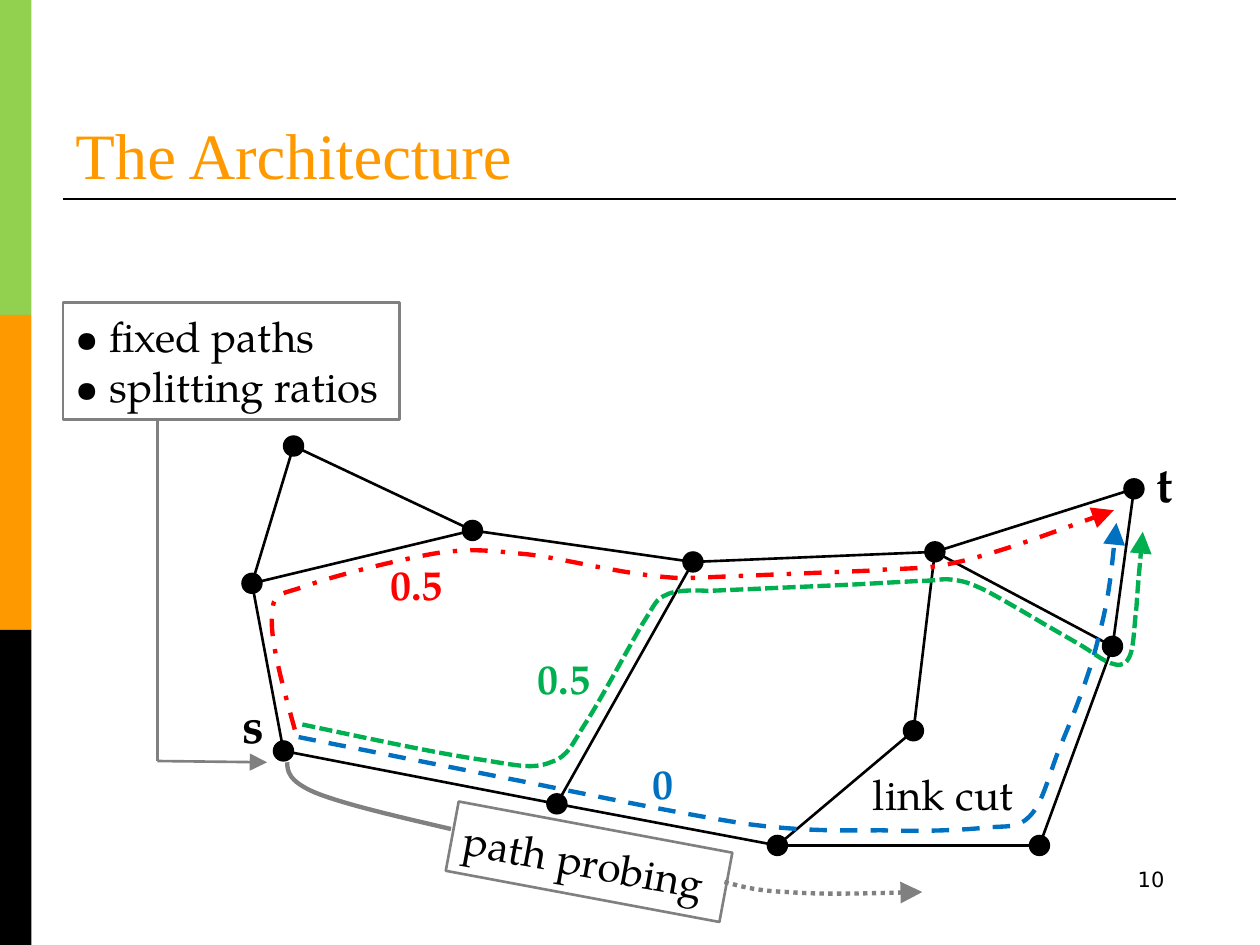
from lxml import etree
from pptx import Presentation
from pptx.dml.color import RGBColor
from pptx.enum.dml import MSO_LINE
from pptx.enum.shapes import MSO_CONNECTOR, MSO_SHAPE
from pptx.enum.text import MSO_ANCHOR, PP_ALIGN
from pptx.oxml.ns import qn
from pptx.util import Inches, Pt

RECT, OVAL = MSO_SHAPE.RECTANGLE, MSO_SHAPE.OVAL
STRAIGHT = MSO_CONNECTOR.STRAIGHT
TOP, MID, LOW = MSO_ANCHOR.TOP, MSO_ANCHOR.MIDDLE, MSO_ANCHOR.BOTTOM
LEFT, RIGHT = PP_ALIGN.LEFT, PP_ALIGN.RIGHT
SERIF, SANS, TIMES = "TeX Gyre Pagella", "DejaVu Sans", "Times New Roman"

COLORS = {"black": "000000", "gray": "808080", "lime": "92D050",
          "orange": "FF9900", "red": "FF0000", "blue": "0070C0",
          "green": "00B050"}

# Content: side bars from top to bottom
BARS = ["lime", "orange", "black"]

# Network nodes by centre, and the links between them
NODES = {"s": (2.25, 5.96), "t": (9, 3.88), "west": (2, 4.63),
         "peak": (2.33, 3.54), "north": (3.75, 4.21), "mid": (5.5, 4.46),
         "hub": (7.42, 4.38), "east": (8.83, 5.13), "inner": (7.25, 5.8),
         "low": (4.42, 6.38), "south": (6.17, 6.71), "corner": (8.25, 6.71)}
LINKS = [("s", "west"), ("west", "peak"), ("west", "north"),
         ("peak", "north"), ("north", "mid"), ("mid", "hub"), ("hub", "t"),
         ("hub", "east"), ("east", "t"), ("east", "corner"),
         ("corner", "south"), ("south", "low"), ("low", "s"), ("mid", "low"),
         ("hub", "inner"), ("inner", "south")]

# Routes: color, dash, arrow, start, then lines (2 numbers) or curves (6)
ROUTES = [
    ("red", MSO_LINE.DASH_DOT, True, (2.34, 5.79), [
        (2.24, 5.43, 2.14, 5.07, 2.16, 4.88),
        (2.17, 4.69, 2.21, 4.73, 2.43, 4.65),
        (2.65, 4.57, 3.17, 4.44, 3.47, 4.39),
        (3.76, 4.35, 3.87, 4.37, 4.19, 4.4),
        (4.52, 4.44, 4.97, 4.57, 5.42, 4.59), (6.89, 4.53),
        (7.26, 4.5, 7.32, 4.53, 7.65, 4.45),
        (7.97, 4.37, 8.4, 4.21, 8.84, 4.05)]),
    ("blue", MSO_LINE.DASH, True, (2.37, 5.85), [
        (4.24, 6.22), (4.83, 6.34, 5.47, 6.47, 5.93, 6.54),
        (6.39, 6.6, 6.68, 6.59, 7, 6.59),
        (7.31, 6.6, 7.61, 6.59, 7.81, 6.57),
        (8, 6.55, 8.07, 6.58, 8.17, 6.48),
        (8.27, 6.38, 8.31, 6.2, 8.4, 5.96),
        (8.5, 5.72, 8.65, 5.36, 8.72, 5.05),
        (8.8, 4.75, 8.83, 4.45, 8.86, 4.15)]),
    ("green", MSO_LINE.SQUARE_DOT, True, (2.4, 5.75), [
        (2.92, 5.86, 3.43, 5.97, 3.76, 6.02),
        (4.09, 6.07, 4.22, 6.11, 4.37, 6.05),
        (4.52, 6, 4.54, 5.9, 4.66, 5.72),
        (4.78, 5.53, 5, 5.12, 5.1, 4.95),
        (5.21, 4.78, 5.2, 4.76, 5.29, 4.72),
        (5.38, 4.67, 5.62, 4.69, 5.62, 4.69), (6.76, 4.64), (7.31, 4.61),
        (7.44, 4.61, 7.47, 4.59, 7.55, 4.6),
        (7.64, 4.61, 7.68, 4.62, 7.81, 4.68),
        (7.93, 4.74, 8.3, 4.96, 8.3, 4.96), (8.56, 5.11),
        (8.65, 5.16, 8.77, 5.26, 8.84, 5.27),
        (8.9, 5.29, 8.94, 5.27, 8.97, 5.2),
        (9, 5.12, 9, 4.98, 9.02, 4.82),
        (9.03, 4.66, 9.05, 4.44, 9.07, 4.22)]),
    ("gray", None, False, (2.28, 6.05), [
        (2.28, 6.12, 2.29, 6.2, 2.5, 6.29),
        (2.72, 6.38, 3.15, 6.48, 3.58, 6.58)]),
    ("gray", MSO_LINE.ROUND_DOT, True, (5.75, 7), [
        (5.87, 7.03, 5.98, 7.07, 6.25, 7.08),
        (6.51, 7.1, 6.91, 7.09, 7.32, 7.08)]),
]

# Labels: text, box, size, font, color, bold, anchor, alignment
LABELS = [
    ("The Architecture", (0.5, 0.25, 8.75, 1.33), 37, TIMES, "orange", False, LOW, LEFT),
    ("t", (9.08, 3.55, 0.33, 0.57), 28, SERIF, "black", True, TOP, LEFT),
    ("s", (1.83, 5.46, 0.33, 0.57), 28, SERIF, "black", True, TOP, LEFT),
    ("link cut", (6.83, 6.05, 1.33, 0.5), 24, SERIF, "black", False, TOP, LEFT),
    ("0.5", (3, 4.38, 0.83, 0.5), 24, SERIF, "red", True, TOP, LEFT),
    ("0.5", (4.17, 5.13, 0.92, 0.5), 24, SERIF, "green", True, TOP, LEFT),
    ("0", (5.08, 5.96, 0.83, 0.5), 24, SERIF, "blue", True, TOP, LEFT),
    ("10", (7.17, 6.83, 2.17, 0.52), 12, SANS, "black", False, TOP, RIGHT),
]

# Framed notes: lines, box, rotation
NOTES = [(["path probing"], (3.57, 6.56, 2.21, 0.56), 10.6),
         (["• fixed paths", "• splitting ratios"], (0.5, 2.4, 2.67, 0.93), 0)]

prs = Presentation()
prs.slide_width, prs.slide_height = Inches(10), Inches(7.5)
shapes = prs.slides.add_slide(prs.slide_layouts[6]).shapes


def rgb(name):
    return RGBColor.from_string(COLORS[name])


def stroke(item, color, width, arrow=False):
    item.line.color.rgb = rgb(color)
    item.line.width = Pt(width)
    if arrow:
        etree.SubElement(item.line._get_or_add_ln(), qn("a:tailEnd"),
                         type="triangle", w="lg", len="lg")


def link(start, end, color="black", arrow=False):
    line = shapes.add_connector(STRAIGHT, *map(Inches, start + end))
    stroke(line, color, 1.5, arrow)
    etree.SubElement(line._element.spPr, qn("a:effectLst"))


def solid(kind, box, color):
    part = shapes.add_shape(kind, *map(Inches, box))
    part.shadow.inherit = False
    part.fill.solid()
    part.fill.fore_color.rgb = rgb(color)
    part.line.fill.background()


def write(frame, lines, size, font, color, bold, anchor, align):
    frame.word_wrap = True
    frame.vertical_anchor = anchor
    for i, text in enumerate(lines):
        para = frame.add_paragraph() if i else frame.paragraphs[0]
        para.text = text
        para.alignment = align
        para.font.size, para.font.name, para.font.bold = Pt(size), font, bold
        para.font.color.rgb = rgb(color)


def trace(start, parts):
    """Draw through all points, then join each three of a curve."""
    dots = [part[i:i + 2] for part in parts for i in range(0, len(part), 2)]
    pen = shapes.build_freeform(*map(Inches, start))
    pen.add_line_segments([tuple(map(Inches, dot)) for dot in dots], close=False)
    shape = pen.convert_to_shape()
    steps = iter(list(shape._element.iter(qn("a:lnTo"))))
    for part in parts:
        step = next(steps)
        if len(part) == 6:
            step.tag = qn("a:cubicBezTo")
            for extra in (next(steps), next(steps)):
                step.append(extra[0])
                extra.getparent().remove(extra)
    return shape


# Side bars and title rule
for i, color in enumerate(BARS):
    solid(RECT, (0, 2.5 * i, 0.25, 2.5), color)
link((0.5, 1.58), (9.33, 1.58))

# Network
for a, b in LINKS:
    link(NODES[a], NODES[b])
for x, y in NODES.values():
    solid(OVAL, (x - 0.085, y - 0.085, 0.17, 0.17), "black")

# Framed notes and the elbow from the note to s
for lines, box, turn in NOTES:
    note = shapes.add_shape(RECT, *map(Inches, box))
    note.shadow.inherit = False
    note.rotation = turn
    note.fill.background()
    stroke(note, "gray", 1.5)
    write(note.text_frame, lines, 24, SERIF, "black", False, MID, LEFT)
link((1.25, 3.33), (1.25, 6.04), "gray")
link((1.25, 6.04), (2.12, 6.05), "gray", True)

# Routes
for color, dash, arrow, start, parts in ROUTES:
    route = trace(start, parts)
    route.shadow.inherit = False
    route.fill.background()
    if dash:
        route.line.dash_style = dash
    stroke(route, color, 2.5, arrow)

# Labels
for text, box, *style in LABELS:
    write(shapes.add_textbox(*map(Inches, box)).text_frame, [text], *style)

prs.save("out.pptx")
